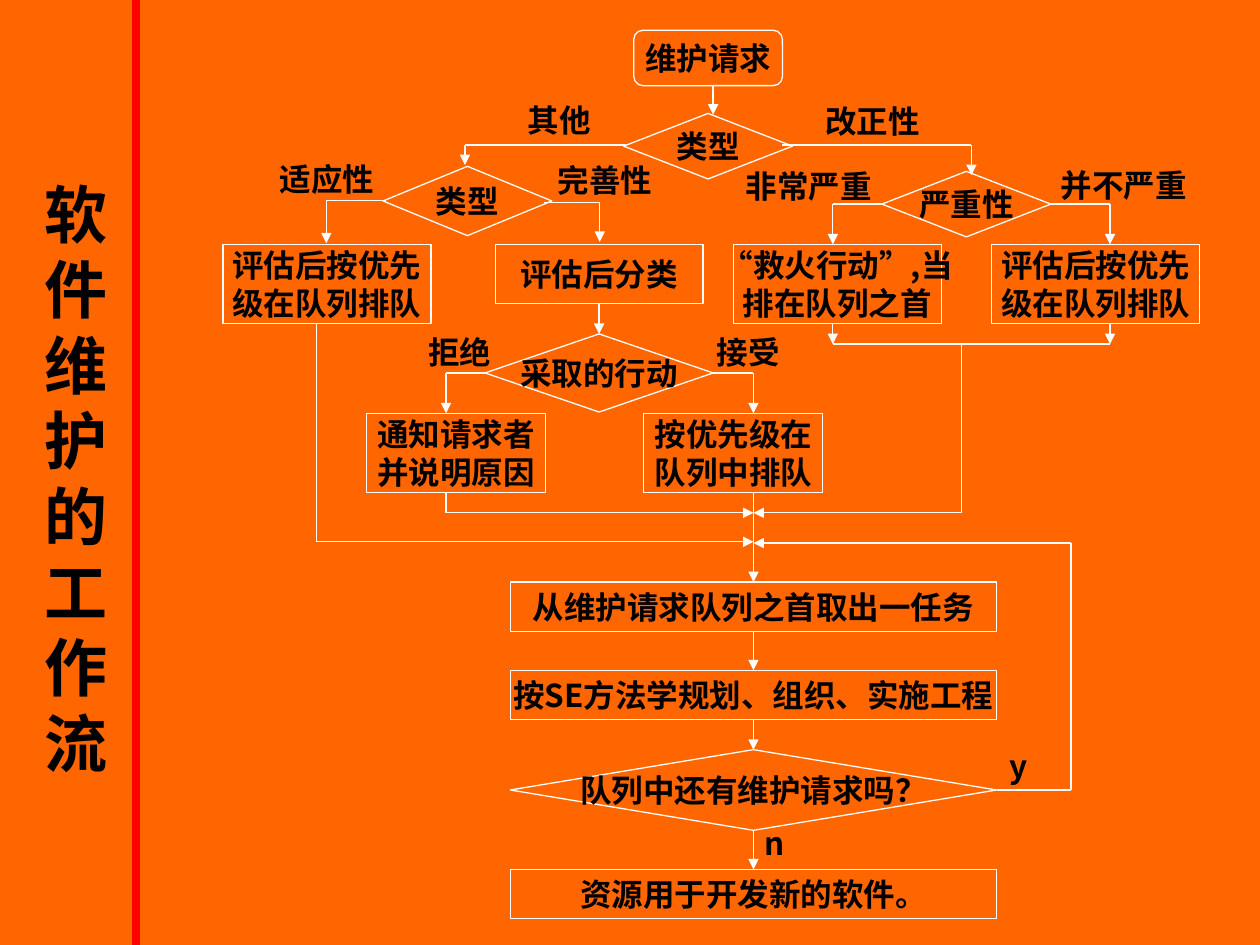
"""Build a slide with the flowchart of the software maintenance workflow."""
from itertools import pairwise

from lxml import etree
from pptx import Presentation
from pptx.dml.color import RGBColor
from pptx.enum.shapes import MSO_CONNECTOR, MSO_SHAPE
from pptx.enum.text import MSO_ANCHOR, MSO_AUTO_SIZE, PP_ALIGN
from pptx.oxml.ns import qn
from pptx.util import Inches, Pt

RECT, ROUND, DIAMOND = MSO_SHAPE.RECTANGLE, MSO_SHAPE.ROUNDED_RECTANGLE, MSO_SHAPE.DIAMOND
STRAIGHT, MIDDLE = MSO_CONNECTOR.STRAIGHT, MSO_ANCHOR.MIDDLE
LEFT, CENTER = PP_ALIGN.LEFT, PP_ALIGN.CENTER
COLORS = {"background": "FF6600", "line": "FFFFFF", "text": "000000", "divider": "FF0000"}
RGB = {role: RGBColor.from_string(value) for role, value in COLORS.items()}
CJK_FONT, TITLE_FONT = "Noto Sans CJK SC", "Times New Roman"
GLUE_TOLERANCE = Inches(0.01)


def write(frame, text, size, font_name, align):
    for index, line in enumerate(text.split("\n")):
        paragraph = frame.paragraphs[0] if index == 0 else frame.add_paragraph()
        paragraph.alignment = align
        run = paragraph.add_run()
        run.text = line
        run.font.size, run.font.bold, run.font.name = Pt(size), True, font_name
        run.font.color.rgb = RGB["text"]


def draw_line(start, end, color, width, arrow=False):
    line = slide.shapes.add_connector(STRAIGHT, *(Inches(v) for v in (*start, *end)))
    line.line.color.rgb = RGB[color]
    line.line.width = Pt(width)
    if arrow:
        etree.SubElement(line.line._get_or_add_ln(), qn("a:tailEnd"), type="triangle")
    etree.SubElement(line._element.spPr, qn("a:effectLst"))
    return line


prs = Presentation()
prs.slide_width, prs.slide_height = Inches(10), Inches(7.5)
slide = prs.slides.add_slide(prs.slide_layouts[5])
slide.background.fill.solid()
slide.background.fill.fore_color.rgb = RGB["background"]

title = slide.shapes.title
title.left, title.top, title.width, title.height = (Inches(v) for v in (0.25, 0.75, 0.67, 6.08))
title.text_frame.word_wrap = True
title.text_frame.auto_size = MSO_AUTO_SIZE.NONE
title.text_frame.vertical_anchor = MIDDLE
write(title.text_frame, "软件维护的工作流", 36, TITLE_FONT, CENTER)
draw_line((1.08, 0), (1.08, 7.5), "divider", 4.5)

steps = [
    (ROUND, 5.03, 0.24, 1.18, 0.44, "维护请求"),
    (DIAMOND, 4.95, 0.9, 1.34, 0.52, "类型"),
    (DIAMOND, 3.04, 1.32, 1.34, 0.55, "类型"),
    (DIAMOND, 7, 1.36, 1.34, 0.52, "严重性"),
    (RECT, 7.87, 1.94, 1.65, 0.63, "评估后按优先\n级在队列排队"),
    (RECT, 5.82, 1.94, 1.65, 0.63, "“救火行动”,当\n排在队列之首"),
    (RECT, 3.93, 1.94, 1.65, 0.47, "评估后分类"),
    (RECT, 1.77, 1.94, 1.65, 0.63, "评估后按优先\n级在队列排队"),
    (DIAMOND, 3.85, 2.65, 1.81, 0.62, "采取的行动"),
    (RECT, 2.91, 3.28, 1.42, 0.63, "通知请求者\n并说明原因"),
    (RECT, 5.11, 3.28, 1.42, 0.63, "按优先级在\n队列中排队"),
    (RECT, 4.05, 4.62, 3.86, 0.39, "从维护请求队列之首取出一任务"),
    (RECT, 4.05, 5.32, 3.86, 0.39, "按SE方法学规划、组织、实施工程"),
    (DIAMOND, 4.05, 5.95, 3.86, 0.64, "队列中还有维护请求吗？"),
    (RECT, 4.05, 6.9, 3.86, 0.39, "资源用于开发新的软件。"),
]
side_middles = []
for outline, left, top, width, height, text in steps:
    step = slide.shapes.add_shape(outline, *(Inches(v) for v in (left, top, width, height)))
    step.shadow.inherit = False
    step.fill.background()
    step.line.color.rgb = RGB["line"]
    step.line.width = Pt(0.75)
    step.text_frame.word_wrap = False
    step.text_frame.vertical_anchor = MIDDLE
    write(step.text_frame, text, 18, CJK_FONT, CENTER)
    middle_x, middle_y = left + width / 2, top + height / 2
    sides = [(middle_x, top), (left, middle_y), (middle_x, top + height), (left + width, middle_y)]
    side_middles += [(step, site, Inches(x), Inches(y)) for site, (x, y) in enumerate(sides)]

arrow_routes = [
    [(5.66, 0.68), (5.66, 0.91)],
    [(4.97, 1.15), (3.69, 1.15), (3.69, 1.31)],
    [(6.21, 1.15), (7.71, 1.15), (7.71, 1.39)],
    [(4.32, 1.61), (4.76, 1.61), (4.76, 1.92)],
    [(3.06, 1.59), (2.59, 1.59), (2.59, 1.93)],
    [(7, 1.62), (6.61, 1.62), (6.61, 1.94)],
    [(8.34, 1.62), (8.81, 1.62), (8.81, 1.94)],
    [(6.61, 2.57), (6.61, 2.73)],
    [(8.81, 2.57), (8.81, 2.73)],
    [(4.75, 2.41), (4.75, 2.65)],
    [(3.85, 2.96), (3.54, 2.96), (3.54, 3.28)],
    [(5.66, 2.96), (5.98, 2.96), (5.98, 3.28)],
    [(3.54, 3.91), (3.54, 4.07), (5.98, 4.07)],
    [(5.98, 3.91), (5.98, 4.62)],
    [(2.51, 2.57), (2.51, 4.3), (5.98, 4.3)],
    [(7.63, 2.73), (7.63, 4.07), (5.98, 4.07)],
    [(5.98, 5.01), (5.98, 5.32)],
    [(5.98, 5.71), (5.98, 5.95)],
    [(5.98, 6.59), (5.98, 6.9)],
    [(7.91, 6.27), (8.5, 6.27), (8.5, 4.31), (5.98, 4.31)],
]
draw_line((6.61, 2.73), (8.81, 2.73), "line", 0.75)
for route in arrow_routes:
    for start, end in pairwise(route):
        flow = draw_line(start, end, "line", 0.75, arrow=end == route[-1])
        for (x, y), join in ((start, flow.begin_connect), (end, flow.end_connect)):
            for step, site, side_x, side_y in side_middles:
                if max(abs(Inches(x) - side_x), abs(Inches(y) - side_y)) < GLUE_TOLERANCE:
                    join(step, site)

branch_labels = [
    ("y", 7.91, 5.88, 0.35), ("n", 5.97, 6.49, 0.35),
    ("改正性", 6.45, 0.76, 0.95), ("其他", 4.09, 0.75, 0.7),
    ("完善性", 4.33, 1.23, 0.95), ("适应性", 2.12, 1.22, 0.95),
    ("拒绝", 3.3, 2.59, 0.7), ("接受", 5.59, 2.59, 0.7),
    ("并不严重", 8.32, 1.27, 1.2), ("非常严重", 5.82, 1.28, 1.2),
]
for text, left, top, width in branch_labels:
    label = slide.shapes.add_textbox(Inches(left), Inches(top), Inches(width), Inches(0.4))
    label.text_frame.word_wrap = False
    label.text_frame.auto_size = MSO_AUTO_SIZE.SHAPE_TO_FIT_TEXT
    write(label.text_frame, text, 18, CJK_FONT, LEFT)

prs.save("out.pptx")
